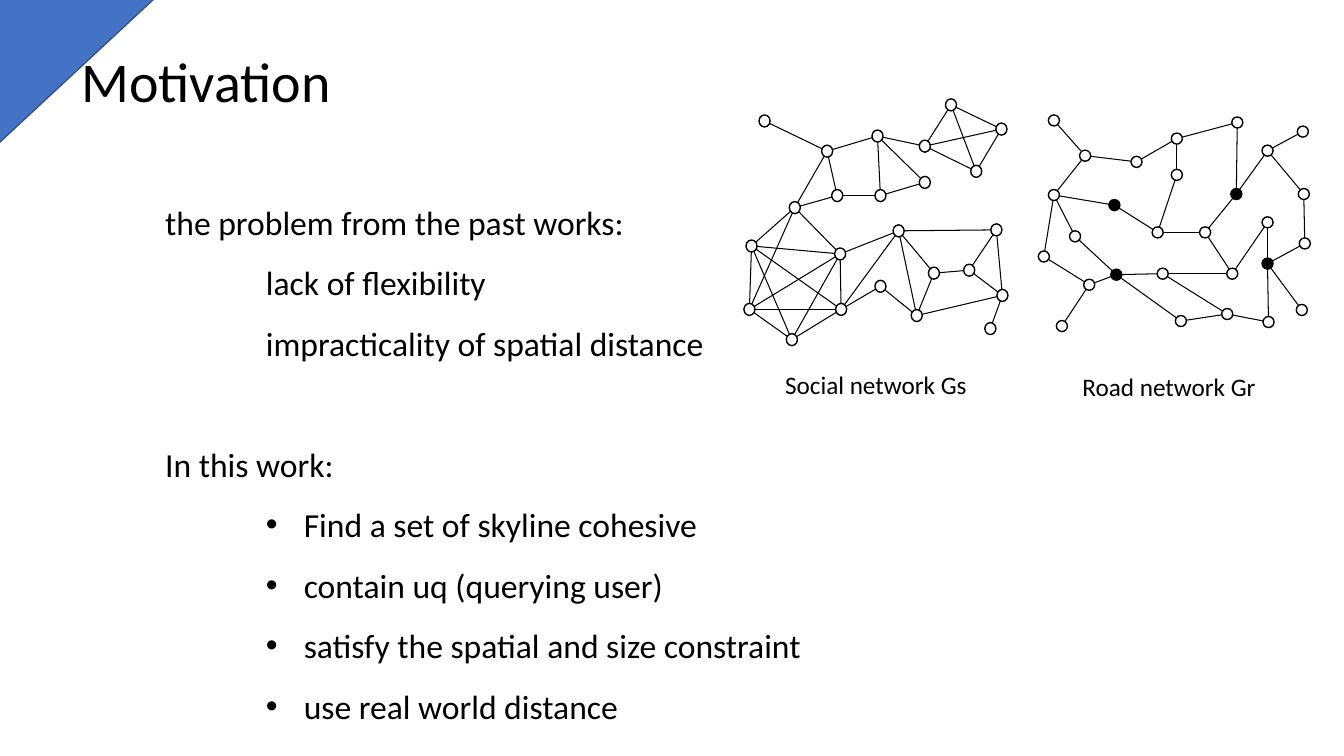
"""Build the Motivation slide with its two network drawings."""
from dataclasses import dataclass
from math import hypot

from lxml import etree
from pptx import Presentation
from pptx.dml import color
from pptx.enum import shapes, text
from pptx.oxml import ns
from pptx.util import Pt

FONT = "Calibri"
BLACK = "000000"


@dataclass(frozen=True)
class Graph:
    """A network: node centres, index pairs, filled nodes and caption."""
    name: str
    left: float
    top: float
    wide: float
    high: float
    nodes: tuple
    edges: str
    dark: tuple = ()


@dataclass(frozen=True)
class Line:
    """A paragraph of the body text."""
    words: str
    left: float = 0
    before: float = 0
    bullet: bool = False


SOCIAL = Graph(
    "Social network Gs", 553.7, 260, 7.9, 8.6,
    ((546.1, 86.4), (590.8, 108), (598, 139.7), (567.7, 148.3),
     (536.8, 175.7), (535.3, 221), (565.6, 242.6), (600.1, 181.4),
     (600.8, 221), (641.9, 164.9), (628.9, 204.5), (654.8, 225.4),
     (626.8, 97.2), (628.9, 139.7), (660.6, 130.3), (660.6, 104.4),
     (679.3, 74.9), (715.3, 92.2), (697.3, 122.4), (667.1, 195.1),
     (692.3, 193), (711.7, 164.2), (716, 211), (707.4, 234.7)),
    "0-1 1-12 12-13 1-2 2-13 13-14 12-14 12-15 15-18 15-16 16-18 15-17 "
    "16-17 17-18 2-3 3-1 4-3 3-7 3-5 4-5 4-7 5-6 5-8 5-7 7-8 4-8 6-8 4-6 "
    "6-7 7-9 8-10 8-9 10-11 9-11 9-19 11-19 11-22 19-20 9-21 21-20 21-22 "
    "20-22 22-23")

ROAD = Graph(
    "Road network Gr", 766.1, 261.4, 7.9, 7.9,
    ((752.8, 86), (775.1, 111.2), (796, 146.5), (767.9, 168.8),
     (752.8, 139.3), (745.6, 183.2), (758.5, 232.9), (830.5, 195.5),
     (778, 203.4), (860.8, 166), (843.5, 229.3), (876.6, 224.3),
     (811.8, 115.6), (826.9, 166), (840.6, 124.9), (840.6, 99),
     (883.8, 87.5), (930.6, 94), (905.4, 107.6), (880.2, 195.5),
     (905.4, 158.8), (931.3, 138.6), (929.9, 221.4), (906.1, 230),
     (932, 173.9), (905.4, 188.3), (883.1, 138.6), (797.4, 196.2)),
    "0-1 1-12 2-13 13-14 12-15 15-14 15-16 17-18 4-1 4-3 4-5 5-8 6-8 7-19 "
    "10-11 7-11 9-19 11-23 19-20 21-24 18-21 4-2 13-9 26-16 26-9 25-20 "
    "26-18 23-25 22-25 25-24 27-8 10-27 27-3 27-7",
    dark=(2, 25, 26, 27))

BODY = (
    Line("the problem from the past works:"),
    Line("lack of flexibility", 72),
    Line("impracticality of spatial distance", 72),
    Line("In this work:", before=43.2),
    Line("Find a set of skyline cohesive", 99, bullet=True),
    Line("contain uq (querying user)", 99, bullet=True),
    Line("satisfy the spatial and size constraint", 99, bullet=True),
    Line("use real world distance", 99, bullet=True),
)


def paint(form, tone: str) -> None:
    """Give a fill, line or font colour a solid hex tone."""
    if hasattr(form, "solid"):
        form.solid()
        form = form.fore_color
    form.rgb = color.RGBColor.from_string(tone)


def shape(pool, kind, box: tuple, fill: str = "", line: str = BLACK):
    """Add a preset shape; an empty fill leaves it hollow."""
    item = pool.add_shape(kind, *map(Pt, box))
    item.shadow.inherit = False
    if fill:
        paint(item.fill, fill)
    else:
        item.fill.background()
    paint(item.line.color, line)
    item.line.width = Pt(1)
    return item


def edge(pool, graph: Graph, start: int, end: int) -> None:
    """Join two nodes, stopping at their outlines."""
    (ax, ay), (bx, by) = graph.nodes[start], graph.nodes[end]
    dx, dy = bx - ax, by - ay
    cut = 1 / hypot(dx / (graph.wide / 2), dy / (graph.high / 2))
    ends = ax + dx * cut, ay + dy * cut, bx - dx * cut, by - dy * cut
    link = pool.add_connector(shapes.MSO_CONNECTOR.STRAIGHT, *map(Pt, ends))
    paint(link.line.color, BLACK)
    link.line.width = Pt(0.75)
    etree.SubElement(link._element.spPr, ns.qn("a:effectLst"))


def style(para, size: float) -> None:
    """Set the font of a whole paragraph."""
    para.font.name = FONT
    para.font.size = Pt(size)
    paint(para.font.color, BLACK)


def frame(pool, box: tuple):
    """Add a wrapping text box and return its text frame."""
    field = pool.add_textbox(*map(Pt, box)).text_frame
    field.word_wrap = True
    field.auto_size = text.MSO_AUTO_SIZE.SHAPE_TO_FIT_TEXT
    return field


def label(pool, words: str, box: tuple, size: float) -> None:
    """Add a one-line text."""
    para = frame(pool, box).paragraphs[0]
    para.text = words
    style(para, size)


def draw(pool, graph: Graph) -> None:
    """Draw a network as one group, with its caption."""
    group = pool.add_group_shape().shapes
    wide, high = graph.wide, graph.high
    for spot, (x, y) in enumerate(graph.nodes):
        box = x - wide / 2, y - high / 2, wide, high
        shape(group, shapes.MSO_SHAPE.OVAL, box,
              BLACK if spot in graph.dark else "")
    for pair in graph.edges.split():
        edge(group, graph, *map(int, pair.split("-")))
    label(pool, graph.name, (graph.left, graph.top, 151.2, 28.8), 18)


def write(pool, lines: tuple) -> None:
    """Write the body text with its indents and bullets."""
    field = frame(pool, (110.9, 122.4, 527, 404))
    field.margin_top = field.margin_bottom = Pt(7.2)
    for spot, line in enumerate(lines):
        para = field.add_paragraph() if spot else field.paragraphs[0]
        para.text = line.words
        para.line_spacing = 1.5
        para.space_before = Pt(line.before)
        style(para, 24)
        props = para._p.get_or_add_pPr()
        props.set("marL", str(Pt(line.left)))
        if line.bullet:
            para.level = 2
            props.set("indent", str(Pt(-27)))
            etree.SubElement(props, ns.qn("a:buFont"), typeface="Arial")
            etree.SubElement(props, ns.qn("a:buChar"), char="•")
            props.append(props.find(ns.qn("a:defRPr")))
        else:
            props.set("indent", "0")


def main() -> None:
    """Build and save the slide."""
    deck = Presentation()
    deck.slide_width, deck.slide_height = Pt(960), Pt(540)
    pool = deck.slides.add_slide(deck.slide_layouts[6]).shapes
    corner = shape(pool, shapes.MSO_SHAPE.ISOSCELES_TRIANGLE,
                   (-67.7, -20.2, 182.9, 84.2), "4472C4", "325491")
    corner.rotation = 317.1
    write(pool, BODY)
    draw(pool, SOCIAL)
    label(pool, "Motivation", (51.1, 29.5, 589, 55.4), 40)
    draw(pool, ROAD)
    deck.save("out.pptx")


main()
